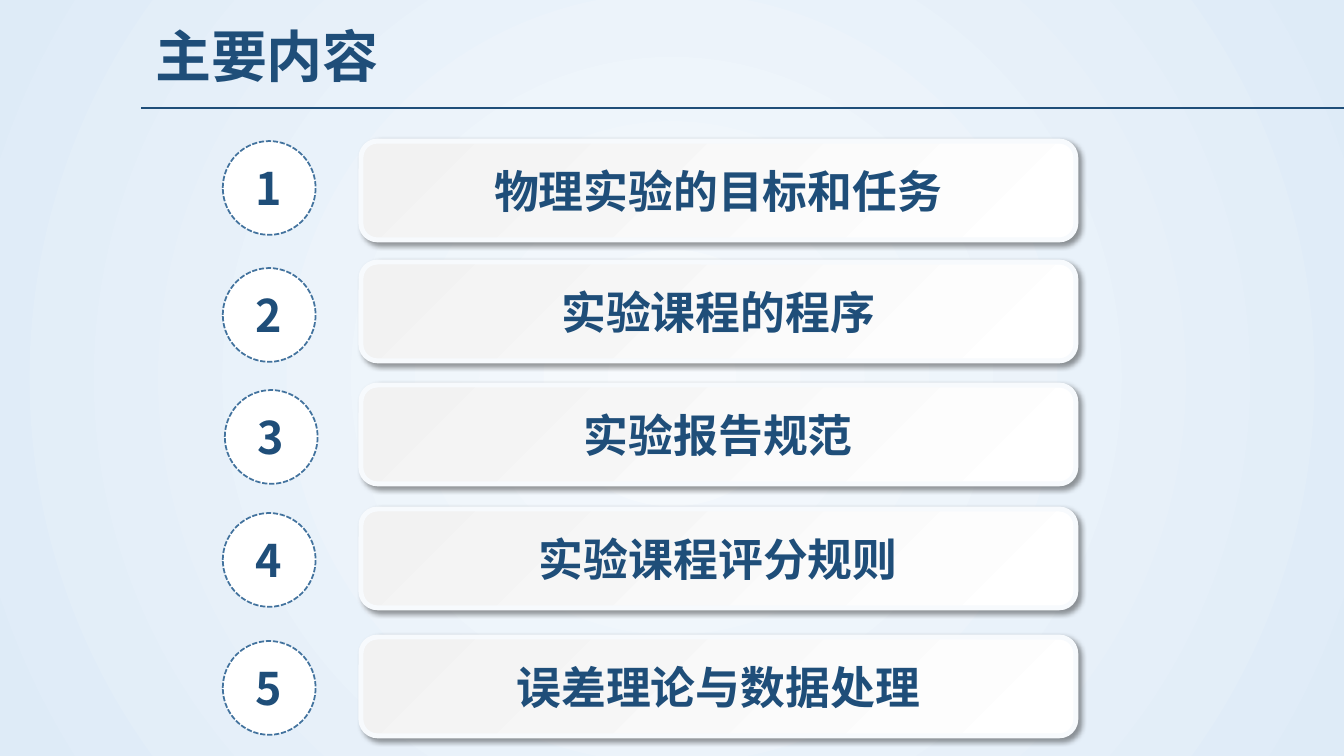
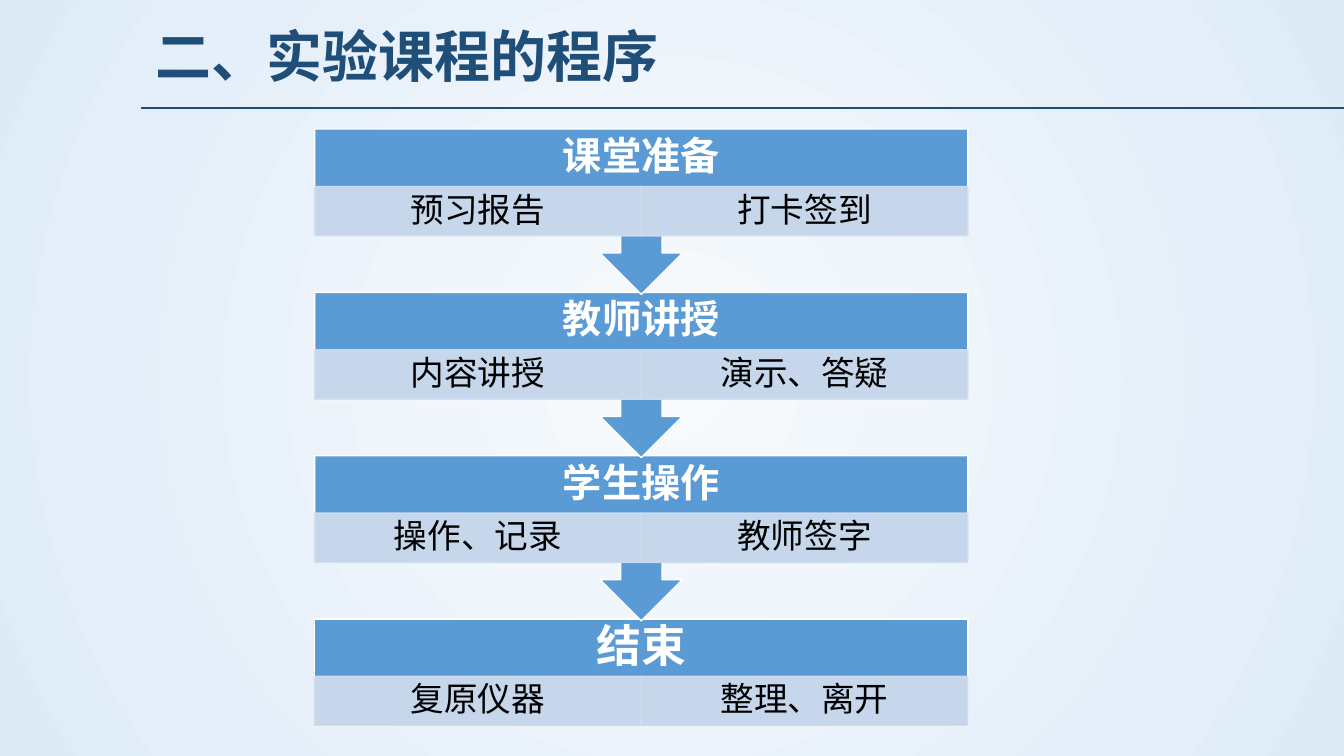
from lxml import etree
from pptx import Presentation
from pptx.dml.color import RGBColor
from pptx.enum.dml import MSO_LINE
from pptx.enum.shapes import MSO_CONNECTOR, MSO_SHAPE
from pptx.enum.text import MSO_ANCHOR, PP_ALIGN
from pptx.oxml.ns import qn
from pptx.util import Inches, Pt

RECTANGLE = MSO_SHAPE.RECTANGLE
ROUNDED = MSO_SHAPE.ROUNDED_RECTANGLE
OVAL = MSO_SHAPE.OVAL
CALLOUT = MSO_SHAPE.UP_ARROW_CALLOUT
STRAIGHT = MSO_CONNECTOR.STRAIGHT
DASHED = MSO_LINE.SQUARE_DOT
MIDDLE = MSO_ANCHOR.MIDDLE
LEFT, CENTER = PP_ALIGN.LEFT, PP_ALIGN.CENTER

FONT = "Noto Sans CJK SC"
NAVY, BLUE, PALE_BLUE = "1F4E79", "5B9BD5", "D2DEEF"
WHITE, BLACK, RING = "FFFFFF", "000000", "43739E"
GLOW, SKY, SILVER = "F7FAFD", "DEEBF7", "F2F2F2"

TOPICS = [
    ("物理实验的目标和任务", 1.4, 2.21, 1.4),
    ("实验课程的程序", 2.6, 2.21, 2.66),
    ("实验报告规范", 3.82, 2.23, 3.87),
    ("实验课程评分规则", 5.05, 2.21, 5.09),
    ("误差理论与数据处理", 6.32, 2.21, 6.36),
]
STAGES = [
    ("课堂准备", ("预习报告", "打卡签到")),
    ("教师讲授", ("内容讲授", "演示、答疑")),
    ("学生操作", ("操作、记录", "教师签字")),
    ("结束", ("复原仪器", "整理、离开")),
]
STAGE_LEFT, STAGE_TOP, STAGE_WIDTH, STAGE_PITCH = 3.12, 1.28, 6.48, 1.62
HEADER_HEIGHT, STEP_HEIGHT = 0.57, 0.49


def color(value):
    return RGBColor.from_string(value)


def box(left, top, width, height):
    return [Inches(length) for length in (left, top, width, height)]


def set_gradient(fill, start, end):
    fill.gradient()
    for stop, value in zip(fill.gradient_stops, (start, end)):
        stop.color.rgb = color(value)


def set_background(master):
    set_gradient(master.background.fill, GLOW, SKY)
    gradient = master.element.find(".//" + qn("a:gradFill"))
    gradient.remove(gradient.find(qn("a:lin")))
    circle = etree.SubElement(gradient, qn("a:path"), path="circle")
    etree.SubElement(circle, qn("a:fillToRect"),
                     l="50000", t="50000", r="50000", b="50000")


def write(shape, text, size, ink, bold=True, align=CENTER, inset=0, spacing=1):
    frame = shape.text_frame
    frame.word_wrap = True
    frame.vertical_anchor = MIDDLE
    frame.margin_left = frame.margin_right = Inches(inset)
    frame.margin_top = frame.margin_bottom = 0
    paragraph = frame.paragraphs[0]
    paragraph.alignment = align
    paragraph.line_spacing = spacing
    run = paragraph.add_run()
    run.text = text
    run.font.size = Pt(size)
    run.font.bold = bold
    run.font.color.rgb = color(ink)
    run.font.name = FONT
    etree.SubElement(run.font._element, qn("a:ea"), typeface=FONT)


def add_block(slide, kind, place, fill, outline, weight):
    block = slide.shapes.add_shape(kind, *box(*place))
    block.shadow.inherit = False
    block.fill.solid()
    block.fill.fore_color.rgb = color(fill)
    block.line.color.rgb = color(outline)
    block.line.width = Pt(weight)
    return block


def add_label(slide, place, text, size, ink, **style):
    write(slide.shapes.add_textbox(*box(*place)), text, size, ink, **style)


def add_titled_slide(deck, title):
    slide = deck.slides.add_slide(deck.slide_layouts[6])
    rule = slide.shapes.add_connector(
        STRAIGHT, Inches(1.4), Inches(1.07), Inches(13.33), Inches(1.07))
    rule.line.color.rgb = color(NAVY)
    rule.line.width = Pt(1.25)
    etree.SubElement(rule._element.spPr, qn("a:effectLst"))
    add_label(slide, (1.44, 0.1, 11.43, 0.98), title, 40, NAVY,
              align=LEFT, inset=0.1, spacing=0.9)
    return slide


def add_topic_bar(slide, top, text):
    bar = add_block(slide, ROUNDED, (3.58, top, 7.09, 0.98), WHITE, GLOW, 3.5)
    set_gradient(bar.fill, SILVER, WHITE)
    bar.fill.gradient_angle = 315
    effects = bar._element.spPr.find(qn("a:effectLst"))
    shadow = etree.SubElement(
        effects, qn("a:outerShdw"), blurRad=str(Pt(4)), dist=str(Pt(3)),
        dir="2700000", algn="tl", rotWithShape="0")
    tint = etree.SubElement(shadow, qn("a:srgbClr"), val=BLACK)
    etree.SubElement(tint, qn("a:alpha"), val="40000")
    write(bar, text, 32, NAVY)


def add_number(slide, left, top, number):
    badge = add_block(slide, OVAL, (left, top, 0.92, 0.93), WHITE, RING, 1.25)
    badge.line.dash_style = DASHED
    write(badge, str(number), 32, NAVY)


def add_step(slide, left, top, text):
    step = add_block(slide, RECTANGLE, (left, top, STAGE_WIDTH / 2, STEP_HEIGHT),
                     PALE_BLUE, PALE_BLUE, 1)
    for tint in step._element.spPr.iter(qn("a:srgbClr")):
        etree.SubElement(tint, qn("a:alpha"), val="90000")
    write(step, text, 24, BLACK, bold=False, spacing=0.9)


def add_stage(slide, index, name, steps):
    top = STAGE_TOP + index * STAGE_PITCH
    last = index == len(STAGES) - 1
    kind, height, size = (RECTANGLE, 1.07, 32) if last else (CALLOUT, 1.64, 28)
    body = add_block(slide, kind, (STAGE_LEFT, top, STAGE_WIDTH, height),
                     BLUE, WHITE, 1)
    if not last:
        body.rotation = 180
    add_label(slide, (STAGE_LEFT, top, STAGE_WIDTH, HEADER_HEIGHT),
              name, size, WHITE, spacing=0.9)
    for column, text in enumerate(steps):
        add_step(slide, STAGE_LEFT + column * STAGE_WIDTH / 2,
                 top + HEADER_HEIGHT, text)


def build_contents(deck):
    slide = add_titled_slide(deck, "主要内容")
    for number, (text, bar_top, badge_left, badge_top) in enumerate(TOPICS, 1):
        add_topic_bar(slide, bar_top, text)
        add_number(slide, badge_left, badge_top, number)


def build_procedure(deck):
    slide = add_titled_slide(deck, "二、实验课程的程序")
    for index, (name, steps) in reversed(list(enumerate(STAGES))):
        add_stage(slide, index, name, steps)


def main():
    deck = Presentation()
    deck.slide_width, deck.slide_height = Inches(13.33), Inches(7.5)
    set_background(deck.slide_master)
    build_contents(deck)
    build_procedure(deck)
    deck.save("out.pptx")


if __name__ == "__main__":
    main()
